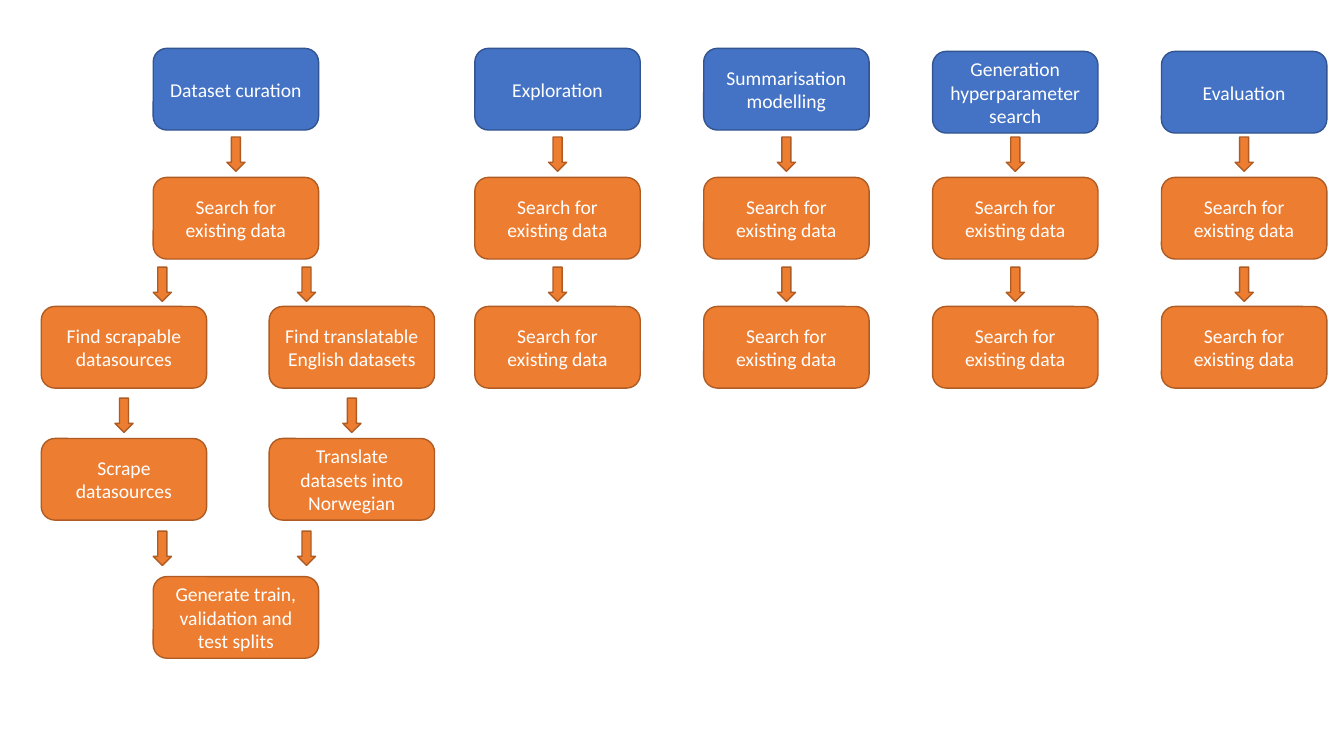
from dataclasses import dataclass

from pptx import Presentation
from pptx.dml.color import RGBColor
from pptx.enum.shapes import MSO_SHAPE
from pptx.enum.text import MSO_ANCHOR, PP_ALIGN
from pptx.util import Inches, Pt


@dataclass(frozen=True)
class Theme:
    font: str = "Calibri"
    text_size: float = 14
    text_color: str = "FFFFFF"
    line_width: float = 1
    phase: tuple = ("4472C4", "325491")
    step: tuple = ("ED7D31", "AF5C24")


THEME = Theme()
BOX_WIDTH, BOX_HEIGHT = 1.64, 0.81
ARROW_WIDTH, ARROW_HEIGHT = 0.18, 0.34
STEP_TOPS = (1.76, 3.04, 4.35, 5.72)
ARROW_TOPS = (1.36, 2.65, 3.95, 5.27)

CURATION_LEFT = 1.52
BRANCH_ARROW_LEFTS = (1.52, 2.95)
BRANCHES = (
    (0.41, ("Find scrapable datasources", "Scrape datasources")),
    (2.67, ("Find translatable English datasets",
            "Translate datasets into Norwegian")),
)

PHASE_LEFT, PHASE_PITCH = 4.71, 2.27
PHASES = (
    ("Exploration", 0.48),
    ("Summarisation modelling", 0.48),
    ("Generation hyperparameter\vsearch", 0.51),
    ("Evaluation", 0.51),
)
SEARCH_STEP = "Search for existing data"


def add_filled_shape(slide, preset, left, top, width, height, colors):
    shape = slide.shapes.add_shape(
        preset, Inches(left), Inches(top), Inches(width), Inches(height))
    shape.shadow.inherit = False
    fill_color, line_color = colors
    shape.fill.solid()
    shape.fill.fore_color.rgb = RGBColor.from_string(fill_color)
    shape.line.color.rgb = RGBColor.from_string(line_color)
    shape.line.width = Pt(THEME.line_width)
    return shape


def write_text(shape, text, size=THEME.text_size, color=THEME.text_color,
               alignment=PP_ALIGN.CENTER, anchor=MSO_ANCHOR.MIDDLE):
    frame = shape.text_frame
    frame.word_wrap = True
    frame.vertical_anchor = anchor
    frame.text = ""
    paragraph = frame.paragraphs[0]
    paragraph.text = text
    paragraph.alignment = alignment
    for run in paragraph.runs:
        run.font.name = THEME.font
        run.font.size = Pt(size)
        run.font.color.rgb = RGBColor.from_string(color)


def add_box(slide, text, left, top, colors=THEME.step):
    box = add_filled_shape(slide, MSO_SHAPE.ROUNDED_RECTANGLE, left, top,
                           BOX_WIDTH, BOX_HEIGHT, colors)
    write_text(box, text)


def add_arrow(slide, left, top):
    add_filled_shape(slide, MSO_SHAPE.DOWN_ARROW, left, top,
                     ARROW_WIDTH, ARROW_HEIGHT, THEME.step)


def add_centered_arrow(slide, box_left, top):
    add_arrow(slide, box_left + (BOX_WIDTH - ARROW_WIDTH) / 2, top)


def add_curation_flow(slide):
    add_box(slide, "Dataset curation", CURATION_LEFT, 0.48, THEME.phase)
    add_centered_arrow(slide, CURATION_LEFT, ARROW_TOPS[0])
    add_box(slide, SEARCH_STEP, CURATION_LEFT, STEP_TOPS[0])
    for arrow_left, (left, steps) in zip(BRANCH_ARROW_LEFTS, BRANCHES):
        add_arrow(slide, arrow_left, ARROW_TOPS[1])
        for text, top in zip(steps, STEP_TOPS[1:]):
            add_box(slide, text, left, top)
        add_centered_arrow(slide, left, ARROW_TOPS[2])
        add_arrow(slide, arrow_left, ARROW_TOPS[3])
    add_box(slide, "Generate train, validation and test splits",
            CURATION_LEFT, STEP_TOPS[3])


def add_phase_flow(slide, title, left, top):
    add_box(slide, title, left, top, THEME.phase)
    for arrow_top, step_top in zip(ARROW_TOPS[:2], STEP_TOPS[:2]):
        add_centered_arrow(slide, left, arrow_top)
        add_box(slide, SEARCH_STEP, left, step_top)


def main():
    presentation = Presentation()
    presentation.slide_width = Inches(13.33)
    presentation.slide_height = Inches(7.5)
    slide = presentation.slides.add_slide(presentation.slide_layouts[6])
    add_curation_flow(slide)
    for index, (title, top) in enumerate(PHASES):
        add_phase_flow(slide, title, PHASE_LEFT + index * PHASE_PITCH, top)
    presentation.save("out.pptx")


main()
